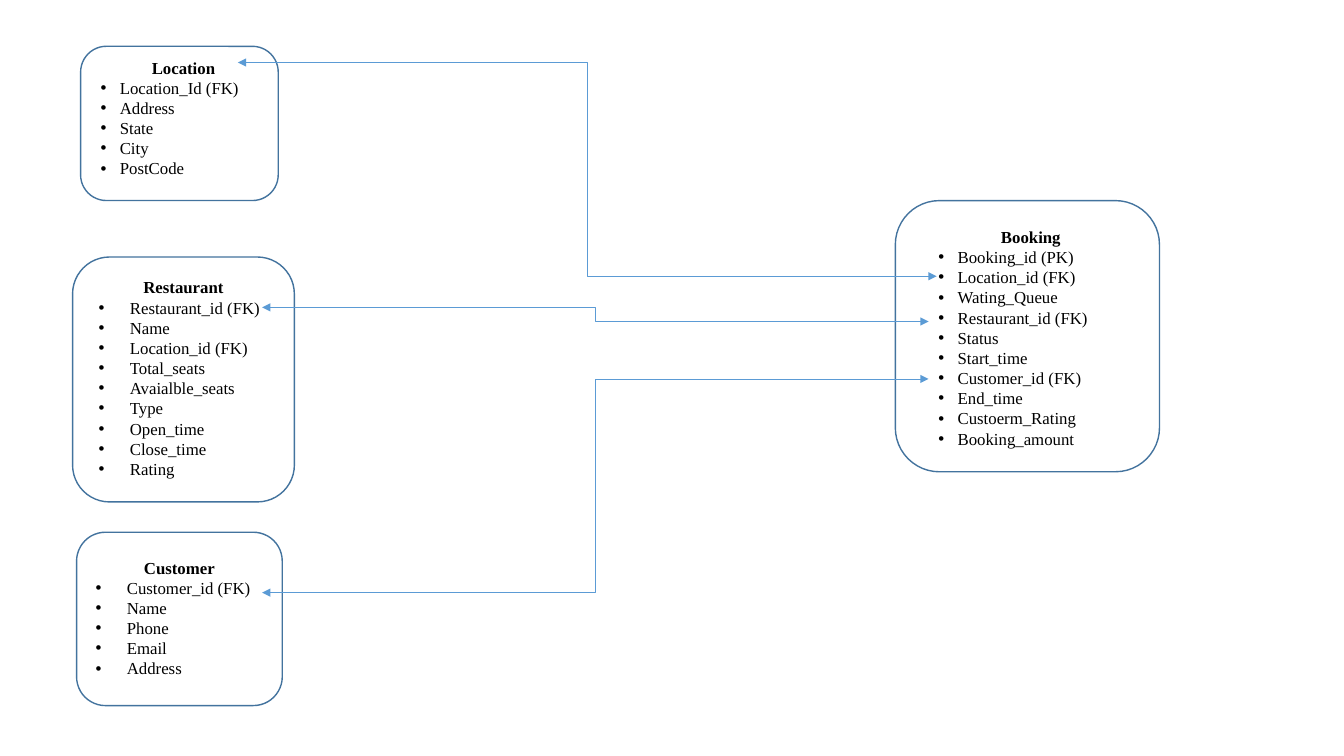
from dataclasses import dataclass

from lxml import etree
from pptx import Presentation
from pptx import util as u
from pptx.dml import color
from pptx.enum import shapes, text
from pptx.oxml import ns
from pptx.slide import Slide
from pptx.text.text import _Paragraph as Paragraph

PX = 9144
FONT = "Times New Roman"
COLORS = {"outline": "43739E", "link": "5B9BD5", "text": "000000"}


@dataclass(frozen=True)
class Box:
    left: int
    top: int
    width: int
    height: int

    def emu(self) -> list[int]:
        return [n * PX for n in (self.left, self.top, self.width, self.height)]


@dataclass(frozen=True)
class Entity:
    name: str
    fields: tuple[str, ...]
    frame: Box
    label: Box
    indent: int


@dataclass(frozen=True)
class Link:
    start: tuple[int, int]
    end: tuple[int, int]


ENTITIES = [
    Entity(
        "Booking",
        ("Booking_id (PK)", "Location_id (FK)", "Wating_Queue", "Restaurant_id (FK)",
         "Status", "Start_time", "Customer_id (FK)", "End_time", "Custoerm_Rating",
         "Booking_amount"),
        Box(888, 199, 262, 269), Box(921, 220, 203, 232), 19,
    ),
    Entity(
        "Location",
        ("Location_Id (FK)", "Address", "State", "City", "PostCode"),
        Box(80, 46, 196, 153), Box(90, 52, 184, 131), 19,
    ),
    Entity(
        "Restaurant",
        ("Restaurant_id (FK)", "Name", "Location_id (FK)", "Total_seats",
         "Avaialble_seats", "Type", "Open_time", "Close_time", "Rating"),
        Box(72, 255, 220, 243), Box(88, 270, 188, 212), 31,
    ),
    Entity(
        "Customer",
        ("Customer_id (FK)", "Name", "Phone", "Email", "Address"),
        Box(76, 528, 204, 172), Box(85, 548, 186, 131), 31,
    ),
]

LINKS = [
    Link((236, 62), (929, 274)),
    Link((260, 305), (921, 319)),
    Link((260, 588), (921, 376)),
]


def rgb(name: str) -> color.RGBColor:
    return color.RGBColor.from_string(COLORS[name])


def add_bullet(paragraph: Paragraph, indent: int) -> None:
    properties = paragraph._p.get_or_add_pPr()
    properties.set("marL", str(indent * PX))
    properties.set("indent", str(-indent * PX))
    etree.SubElement(properties, ns.qn("a:buFont"), typeface="Arial")
    etree.SubElement(properties, ns.qn("a:buChar"), char="•")


def draw_entity(slide: Slide, entity: Entity) -> None:
    shape = slide.shapes.add_shape(
        shapes.MSO_SHAPE.ROUNDED_RECTANGLE, *entity.frame.emu()
    )
    shape.shadow.inherit = False
    shape.fill.background()
    shape.line.color.rgb = rgb("outline")
    shape.line.width = u.Pt(1)

    frame = slide.shapes.add_textbox(*entity.label.emu()).text_frame
    frame.word_wrap = True
    frame.auto_size = text.MSO_AUTO_SIZE.SHAPE_TO_FIT_TEXT
    frame.text = "\n".join((entity.name, *entity.fields))
    for index, paragraph in enumerate(frame.paragraphs):
        if index == 0:
            paragraph.alignment = text.PP_ALIGN.CENTER
        else:
            add_bullet(paragraph, entity.indent)
        paragraph.font.name = FONT
        paragraph.font.size = u.Pt(12)
        paragraph.font.bold = index == 0
        paragraph.font.color.rgb = rgb("text")


def draw_link(slide: Slide, link: Link) -> None:
    connector = slide.shapes.add_connector(
        shapes.MSO_CONNECTOR.ELBOW, *(n * PX for n in link.start + link.end)
    )
    connector.line.color.rgb = rgb("link")
    connector.line.width = u.Pt(0.5)
    line = connector.line._get_or_add_ln()
    for tag in ("a:headEnd", "a:tailEnd"):
        etree.SubElement(line, ns.qn(tag), type="triangle")
    etree.SubElement(connector._element.spPr, ns.qn("a:effectLst"))


def main() -> None:
    presentation = Presentation()
    presentation.slide_width = 1333 * PX
    presentation.slide_height = 750 * PX
    slide = presentation.slides.add_slide(presentation.slide_layouts[6])
    for entity in ENTITIES:
        draw_entity(slide, entity)
    for link in LINKS:
        draw_link(slide, link)
    presentation.save("out.pptx")


if __name__ == "__main__":
    main()
